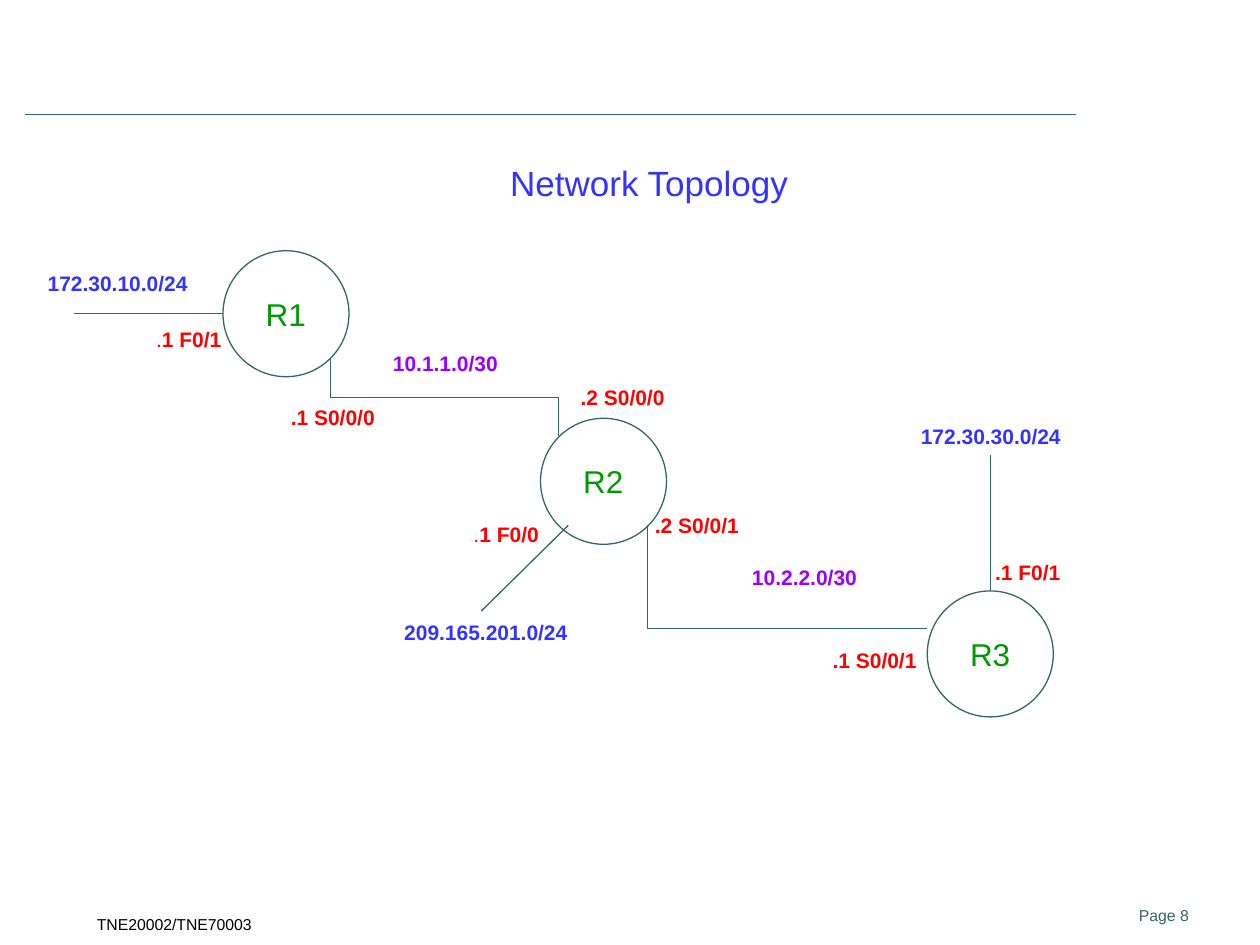
"""Build a network topology slide with three routers and their links."""
from pptx import Presentation
from pptx.dml.color import RGBColor
from pptx.enum.shapes import MSO_CONNECTOR, MSO_SHAPE
from pptx.enum.text import MSO_AUTO_SIZE
from pptx.oxml.ns import qn
from pptx.util import Inches, Pt
from lxml.etree import SubElement

TEAL, BLUE, RED = "336666", "3333FF", "FF0000"
PURPLE, GREEN, BLACK = "9900FF", "009900", "000000"
ROUTER_SIZE = 1

ROUTERS = [("R1", 1.77, 1.99), ("R2", 4.29, 3.32), ("R3", 7.36, 4.69)]

STRAIGHT_LINES = [
    (0.2, 0.91, 8.54, 0.91),
    (1.77, 2.49, 0.59, 2.49),
    (7.86, 4.69, 7.86, 3.61),
    (4.51, 4.17, 3.82, 4.85),
]

SERIAL_LINKS = [
    ((3.83, 2.25, 3.22, 4.06), 270, "bentConnector3"),
    ((5.14, 4.17, 7.36, 4.99), 180, "bentConnector2"),
]

NETWORKS = [
    ("10.1.1.0/30", 3.02, 2.73, 1.04, PURPLE),
    ("10.2.2.0/30", 5.87, 4.43, 1.04, PURPLE),
    ("172.30.10.0/24", 0.28, 2.1, 1.32, BLUE),
    ("172.30.30.0/24", 7.21, 3.31, 1.32, BLUE),
    ("209.165.201.0/24", 3.11, 4.87, 1.51, BLUE),
]

INTERFACES = [
    (".", "1 F0/1", 1.14, 2.54),
    ("", ".1 S0/0/0", 2.21, 3.16),
    ("", ".2 S0/0/0", 4.51, 3),
    ("", ".2 S0/0/1", 5.1, 4.02),
    ("", ".1 S0/0/1", 6.51, 5.09),
    ("", ".1 F0/1", 7.8, 4.39),
    (".", "1 F0/0", 3.66, 4.09),
]

CAPTIONS = [
    ("Network Topology", (3.95, 1.23, 2.55, 0.44), 20, BLUE),
    ("TNE20002/TNE70003", (0.67, 7.21, 1.5, 0.29), 9, BLACK),
    ("Page 8", (8.94, 7.14, 0.79, 0.31), 9, TEAL),
]


def rgb(value):
    return RGBColor.from_string(value)


def add_text(slide, box, size, color, plain="", bold="", wrap=True, grow=True):
    text_frame = slide.shapes.add_textbox(*map(Inches, box)).text_frame
    text_frame.word_wrap = wrap
    if grow:
        text_frame.auto_size = MSO_AUTO_SIZE.SHAPE_TO_FIT_TEXT
    for text, is_bold in ((plain, False), (bold, True)):
        if text:
            run = text_frame.paragraphs[0].add_run()
            run.text = text
            run.font.name = "Arial"
            run.font.size = Pt(size)
            run.font.bold = is_bold
            run.font.color.rgb = rgb(color)


def style_line(shape):
    shape.line.color.rgb = rgb(TEAL)
    shape.line.width = Pt(0.75)


def add_line(slide, ends, kind=MSO_CONNECTOR.STRAIGHT):
    connector = slide.shapes.add_connector(kind, *map(Inches, ends))
    style_line(connector)
    SubElement(connector._element.spPr, qn("a:effectLst"))
    return connector


def add_serial_link(slide, ends, angle, preset):
    properties = add_line(slide, ends, MSO_CONNECTOR.ELBOW)._element.spPr
    properties.find(qn("a:xfrm")).set("rot", str(angle * 60000))
    properties.find(qn("a:prstGeom")).set("prst", preset)


def add_router(slide, name, left, top):
    box = (left, top, ROUTER_SIZE, ROUTER_SIZE)
    circle = slide.shapes.add_shape(MSO_SHAPE.OVAL, *map(Inches, box))
    circle.shadow.inherit = False
    circle.fill.background()
    style_line(circle)
    label_box = (left + 0.24, top + 0.3, 0.52, 0.4)
    add_text(slide, label_box, 18, GREEN, plain=name, wrap=False)


def main():
    presentation = Presentation()
    presentation.slide_width, presentation.slide_height = Inches(10), Inches(7.5)
    slide = presentation.slides.add_slide(presentation.slide_layouts[6])

    for router in ROUTERS:
        add_router(slide, *router)
    for ends in STRAIGHT_LINES:
        add_line(slide, ends)
    for link in SERIAL_LINKS:
        add_serial_link(slide, *link)
    for address, left, top, width, color in NETWORKS:
        add_text(slide, (left, top, width, 0.3), 12, color, bold=address, wrap=False)
    for plain, bold, left, top in INTERFACES:
        add_text(slide, (left, top, 1.13, 0.3), 12, RED, plain, bold)
    for text, box, size, color in CAPTIONS:
        add_text(slide, box, size, color, plain=text, grow=size > 9)

    presentation.save("out.pptx")


if __name__ == "__main__":
    main()
